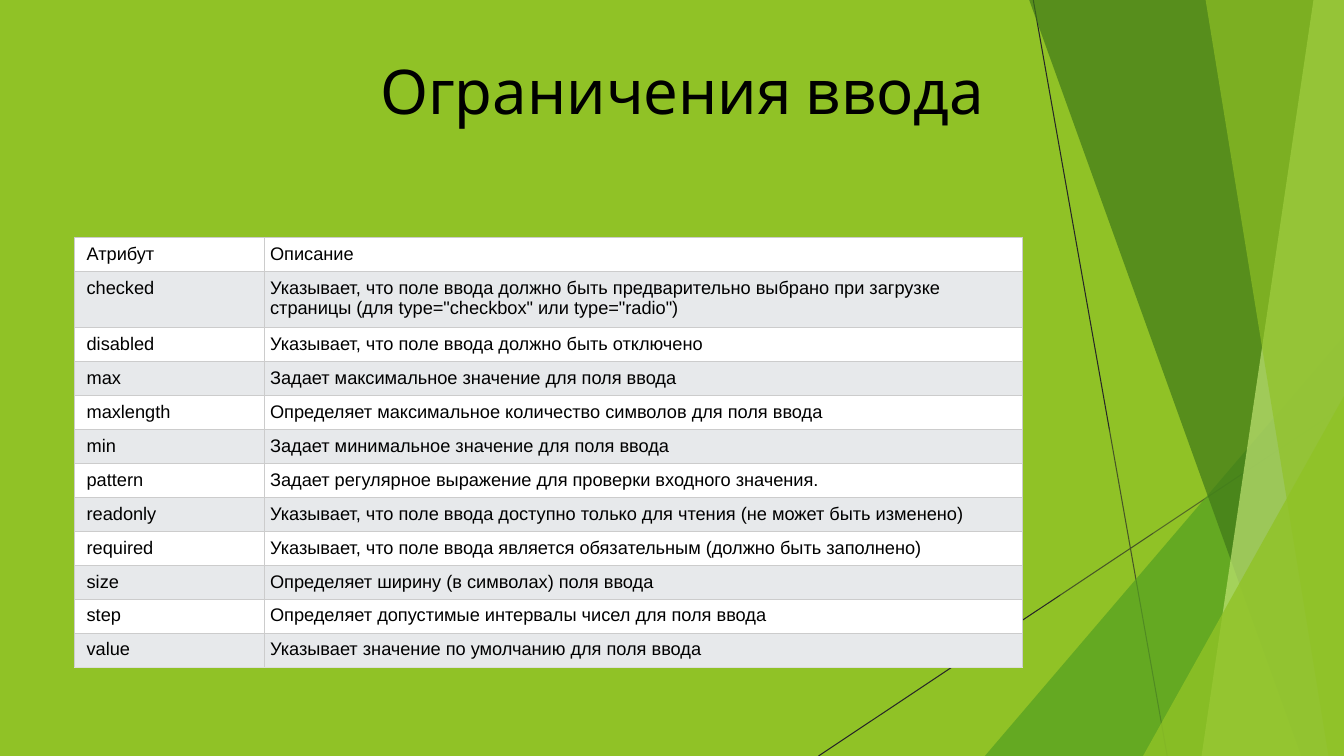
from lxml import etree
from pptx import Presentation
from pptx.dml.color import RGBColor
from pptx.enum.shapes import MSO_CONNECTOR, MSO_SHAPE
from pptx.enum.text import MSO_ANCHOR, MSO_AUTO_SIZE, PP_ALIGN
from pptx.oxml.ns import qn
from pptx.util import Inches, Pt

STRAIGHT = MSO_CONNECTOR.STRAIGHT
TRIANGLE = MSO_SHAPE.ISOSCELES_TRIANGLE
LEFT = PP_ALIGN.LEFT
TOP, MIDDLE = MSO_ANCHOR.TOP, MSO_ANCHOR.MIDDLE
FIT_SHAPE = MSO_AUTO_SIZE.SHAPE_TO_FIT_TEXT
TITLE_ONLY = 5

ATTRIBUTES = [
    ("Атрибут", "Описание"),
    ("checked", "Указывает, что поле ввода должно быть предварительно выбрано "
                "при загрузке страницы (для type=\"checkbox\" или type=\"radio\")"),
    ("disabled", "Указывает, что поле ввода должно быть отключено"),
    ("max", "Задает максимальное значение для поля ввода"),
    ("maxlength", "Определяет максимальное количество символов для поля ввода"),
    ("min", "Задает минимальное значение для поля ввода"),
    ("pattern", "Задает регулярное выражение для проверки входного значения."),
    ("readonly", "Указывает, что поле ввода доступно только для чтения (не может быть изменено)"),
    ("required", "Указывает, что поле ввода является обязательным (должно быть заполнено)"),
    ("size", "Определяет ширину (в символах) поля ввода"),
    ("step", "Определяет допустимые интервалы чисел для поля ввода"),
    ("value", "Указывает значение по умолчанию для поля ввода"),
]


def color(value):
    return RGBColor.from_string(value)


def apply(target, values):
    for name, value in values.items():
        setattr(target, name, value)


class SlideBuilder:
    """Holds the style and the slide; lengths are percent of the slide's size."""

    green = "90C226"
    line_color = "262626"
    line_width = Pt(0.75)
    title_font = {"name": "Cabin", "size": Pt(44), "bold": False}
    cell_font = {"name": "Arial", "size": Pt(13), "bold": False}
    text_color = "000000"
    band_fills = ("FFFFFF", "E7E9EB")
    border, last_border = "CCCCCC", "DDDDDD"

    def __init__(self, presentation):
        self.width = presentation.slide_width
        self.height = presentation.slide_height
        self.slide = presentation.slides.add_slide(presentation.slide_layouts[TITLE_ONLY])
        self.shapes = self.slide.shapes
        background = self.slide.background.fill
        background.solid()
        background.fore_color.rgb = color(self.green)

    def x(self, share):
        return round(self.width * share / 100)

    def y(self, share):
        return round(self.height * share / 100)

    def line(self, x1, y1, x2, y2):
        connector = self.shapes.add_connector(
            STRAIGHT, self.x(x1), self.y(y1), self.x(x2), self.y(y2))
        connector.line.color.rgb = color(self.line_color)
        connector.line.width = self.line_width
        etree.SubElement(connector.element.spPr, qn("a:effectLst"))

    def paint(self, shape, fill, opacity):
        shape.shadow.inherit = False
        shape.line.fill.background()
        shape.fill.solid()
        shape.fill.fore_color.rgb = color(fill)
        fill_color = shape.element.spPr.find(".//" + qn("a:srgbClr"))
        etree.SubElement(fill_color, qn("a:alpha"), val=str(opacity * 1000))

    def facet(self, top_x, bottom_x, fill, opacity):
        """Full-height band from a slanted left side to the right edge."""
        builder = self.shapes.build_freeform(self.x(top_x), 0)
        builder.add_line_segments([
            (self.width, 0), (self.width, self.height), (self.x(bottom_x), self.height)])
        self.paint(builder.convert_to_shape(), fill, opacity)

    def corner(self, left, top, fill, opacity):
        """Right triangle in the bottom right corner."""
        left, top = self.x(left), self.y(top)
        shape = self.shapes.add_shape(
            TRIANGLE, left, top, self.width - left, self.height - top)
        shape.adjustments[0] = 1
        self.paint(shape, fill, opacity)

    def set_text(self, frame, text, font):
        paragraph = frame.paragraphs[0]
        paragraph.alignment = LEFT
        run = paragraph.add_run()
        run.text = text
        apply(run.font, font)
        run.font.color.rgb = color(self.text_color)

    def title(self, text, left, top, width, height):
        shape = self.shapes.title
        apply(shape, {"left": self.x(left), "top": self.y(top),
                      "width": self.x(width), "height": self.y(height)})
        apply(shape.text_frame, {"word_wrap": True, "auto_size": FIT_SHAPE,
                                 "vertical_anchor": MIDDLE,
                                 "margin_top": 0, "margin_bottom": 0})
        self.set_text(shape.text_frame, text, self.title_font)

    def cell_borders(self, cell, bottom):
        properties = cell._tc.get_or_add_tcPr()
        for side in "LRTB":
            edge = etree.SubElement(properties, qn("a:ln" + side), w=str(self.line_width))
            fill = etree.SubElement(edge, qn("a:solidFill"))
            etree.SubElement(fill, qn("a:srgbClr"), val=bottom if side == "B" else self.border)

    def table(self, rows, left, top, columns, heights):
        table = self.shapes.add_table(
            len(rows), len(columns), self.x(left), self.y(top),
            self.x(sum(columns)), self.y(sum(heights))).table
        apply(table, {"first_row": False, "horz_banding": False})
        for column, width in zip(table.columns, columns):
            column.width = self.x(width)
        for row_index, (texts, height) in enumerate(zip(rows, heights)):
            table.rows[row_index].height = self.y(height)
            bottom = self.last_border if row_index == len(rows) - 1 else self.border
            for column_index, text in enumerate(texts):
                cell = table.cell(row_index, column_index)
                apply(cell, {"margin_left": self.x(0.45 if column_index else 0.9),
                             "margin_right": self.x(0.45), "margin_top": self.y(0.8),
                             "margin_bottom": self.y(0.8), "vertical_anchor": TOP})
                self.cell_borders(cell, bottom)
                cell.fill.solid()
                cell.fill.fore_color.rgb = color(self.band_fills[row_index % 2])
                self.set_text(cell.text_frame, text, self.cell_font)


def main():
    presentation = Presentation()
    presentation.slide_width = Inches(13.33)
    presentation.slide_height = Inches(7.5)
    builder = SlideBuilder(presentation)

    # Faceted decoration on the right
    builder.line(76.88, 0, 86.85, 100)
    builder.line(100, 53.73, 60.9, 100)
    builder.facet(92.1, 75.3, "90C226", 30)
    builder.facet(78.75, 88.73, "90C226", 20)
    builder.corner(73.28, 44.4, "54A021", 72)
    builder.facet(76.58, 96.83, "3F7819", 70)
    builder.facet(97.73, 89.4, "C0E474", 70)
    builder.facet(89.7, 98.85, "90C226", 65)
    builder.corner(85.05, 52.4, "90C226", 80)

    # Title
    builder.title("Ограничения ввода", 27.53, 6.27, 50, 11.2)

    # Attribute table: only the "checked" row takes two lines
    heights = [7.33 if name == "checked" else 4.47 for name, _ in ATTRIBUTES]
    builder.table(ATTRIBUTES, 5.55, 31.47, (14.1, 56.4), heights)

    presentation.save("out.pptx")


if __name__ == "__main__":
    main()
